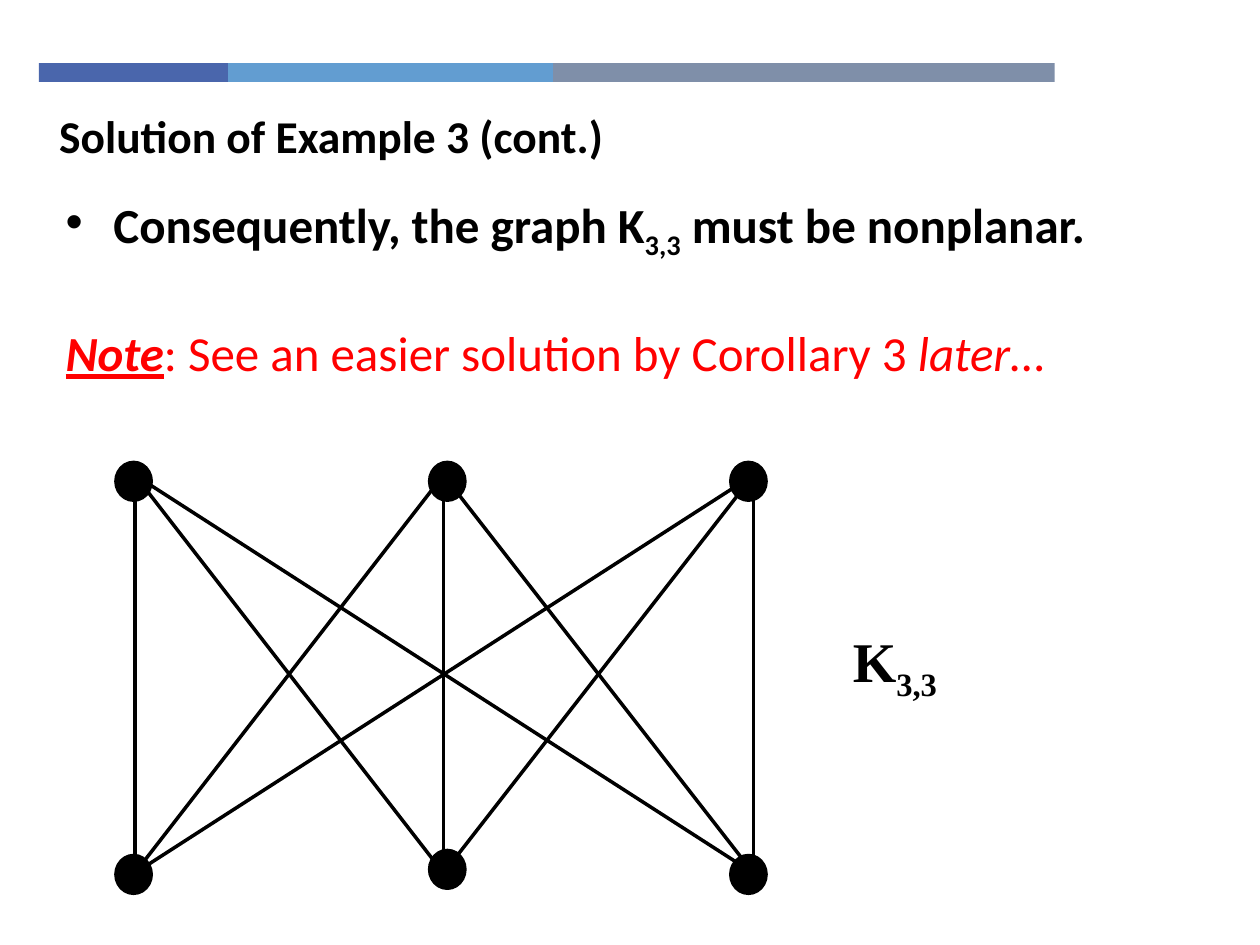
"""Builds the slide that closes Example 3 with a drawing of the graph K3,3."""
from itertools import accumulate, product

from lxml import etree
from pptx import Presentation
from pptx.dml.color import RGBColor
from pptx.enum import shapes, text
from pptx.oxml.ns import qn
from pptx.util import Inches, Pt

COLORS = {"blue": "4A66AC", "sky": "629DD1", "slate": "7F8FA9",
          "black": "000000", "red": "FF0000"}

TITLE = [("Solution of Example 3 (cont.)", {"bold": True})]
CONCLUSION = [("Consequently, the graph K", {"bold": True}),
              ("3,3", {"bold": True, "sub": True}),
              (" must be nonplanar.", {"bold": True})]
NOTE = [("Note", {"bold": True, "italic": True, "underline": True}),
        (": See an easier solution by Corollary 3 ", {}),
        ("later", {"italic": True}),
        ("…", {})]
GRAPH_NAME = [("K", {"bold": True}), ("3,3", {"bold": True, "sub": True})]

BARS = [("blue", 1.5), ("sky", 2.58), ("slate", 3.98)]
BAR_LEFT, BAR_TOP, BAR_HEIGHT = 0.31, 0.5, 0.15

EDGE_XS, EDGE_TOP, EDGE_BOTTOM = (1.07, 3.52, 5.98), 3.77, 6.93
NODE_COLUMNS = [(0.92, 6.79), (3.41, 6.75), (5.8, 6.79)]
NODE_TOP, NODE_WIDTH, NODE_HEIGHT = 3.67, 0.28, 0.3


def rgb(name):
    """Return a named colour."""
    return RGBColor.from_string(COLORS[name])


def write(p, runs, size, color="black", font="Calibri", **layout):
    """Fill a paragraph with formatted runs."""
    p.alignment = text.PP_ALIGN.LEFT
    for name, value in layout.items():
        setattr(p, name, value)
    for words, style in runs:
        r = p.add_run()
        r.text = words
        r.font.color.rgb = rgb(color)
        values = {"name": font, "size": Pt(size), "bold": False, "italic": False}
        values.update(style)
        if values.pop("sub", False):
            r.font._element.set("baseline", "-25000")
        for name, value in values.items():
            setattr(r.font, name, value)


def set_bullet(p, char=None):
    """Give a paragraph a hanging indent, with or without a bullet."""
    pPr = p._p.get_or_add_pPr()
    pPr.set("marL", str(Inches(0.38)))
    pPr.set("indent", str(Inches(-0.38)))
    if char:
        etree.SubElement(pPr, qn("a:buChar")).set("char", char)
    else:
        etree.SubElement(pPr, qn("a:buNone"))


def place(sp, left, top, width, height, anchor):
    """Position a text shape and return its frame."""
    box = {"left": left, "top": top, "width": width, "height": height}
    for name, value in box.items():
        setattr(sp, name, Inches(value))
    tf = sp.text_frame
    frame = {"word_wrap": True, "auto_size": text.MSO_AUTO_SIZE.NONE,
             "vertical_anchor": anchor}
    for name, value in frame.items():
        setattr(tf, name, value)
    return tf


def add_shape(s, kind, left, top, width, height, color):
    """Add a plain filled shape."""
    sp = s.shapes.add_shape(kind, *map(Inches, (left, top, width, height)))
    sp.shadow.inherit = False
    sp.fill.solid()
    sp.fill.fore_color.rgb = rgb(color)
    sp.line.fill.background()
    return sp


def add_edge(s, x1, x2):
    """Join a top position to a bottom position."""
    ends = map(Inches, (x1, EDGE_TOP, x2, EDGE_BOTTOM))
    edge = s.shapes.add_connector(shapes.MSO_CONNECTOR.STRAIGHT, *ends)
    edge.line.color.rgb = rgb("black")
    edge.line.width = Pt(2)
    etree.SubElement(edge._element.spPr, qn("a:effectLst"))


def add_node(s, left, top):
    """Add one vertex of the graph."""
    node = add_shape(s, shapes.MSO_SHAPE.OVAL, left, top,
                     NODE_WIDTH, NODE_HEIGHT, "black")
    node.line.color.rgb = rgb("black")
    node.line.width = Pt(2)


def main():
    """Build and save the slide."""
    prs = Presentation()
    prs.slide_width, prs.slide_height = Inches(10), Inches(7.5)
    s = prs.slides.add_slide(prs.slide_layouts[1])
    anchor = text.MSO_ANCHOR

    rights = accumulate(width for _, width in BARS)
    for (color, width), right in zip(BARS, rights):
        add_shape(s, shapes.MSO_SHAPE.RECTANGLE, BAR_LEFT + right - width,
                  BAR_TOP, width, BAR_HEIGHT, color)

    tf = place(s.shapes.title, 0.37, 0.8, 7.16, 0.54, anchor.MIDDLE)
    write(tf.paragraphs[0], TITLE, 26)

    tf = place(s.placeholders[1], 0.42, 1.5, 9.17, 1.58, anchor.TOP)
    p = tf.paragraphs[0]
    write(p, CONCLUSION, 28, line_spacing=0.9, space_before=Pt(6))
    set_bullet(p, "•")
    p = tf.add_paragraph()
    write(p, NOTE, 28, "red", line_spacing=0.9, space_before=Pt(42))
    set_bullet(p)

    label = s.shapes.add_textbox(0, 0, 0, 0)
    tf = place(label, 6.67, 4.92, 1.08, 0.63, anchor.TOP)
    write(tf.paragraphs[0], GRAPH_NAME, 32, font="Times New Roman")

    for x1, x2 in product(EDGE_XS, repeat=2):
        add_edge(s, x1, x2)
    for left, bottom_row in NODE_COLUMNS:
        for top in (NODE_TOP, bottom_row):
            add_node(s, left, top)

    prs.save("out.pptx")


if __name__ == "__main__":
    main()
